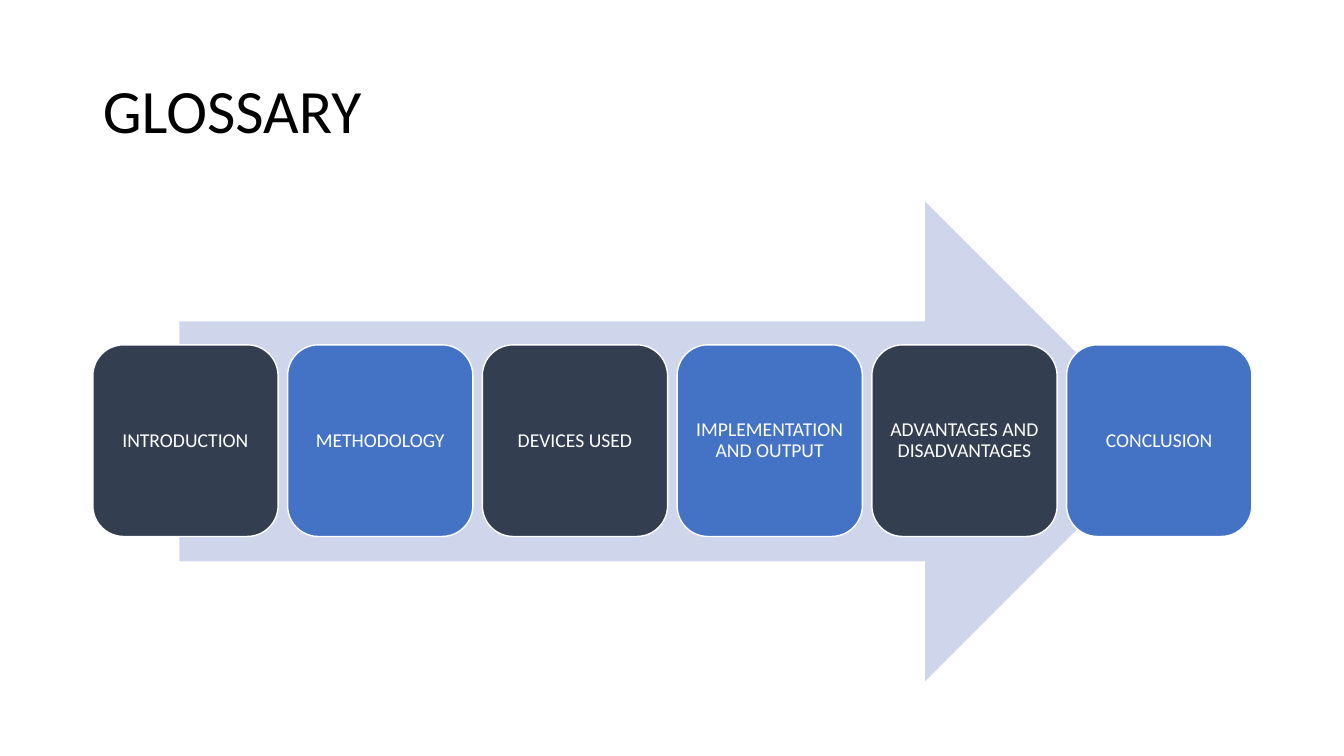
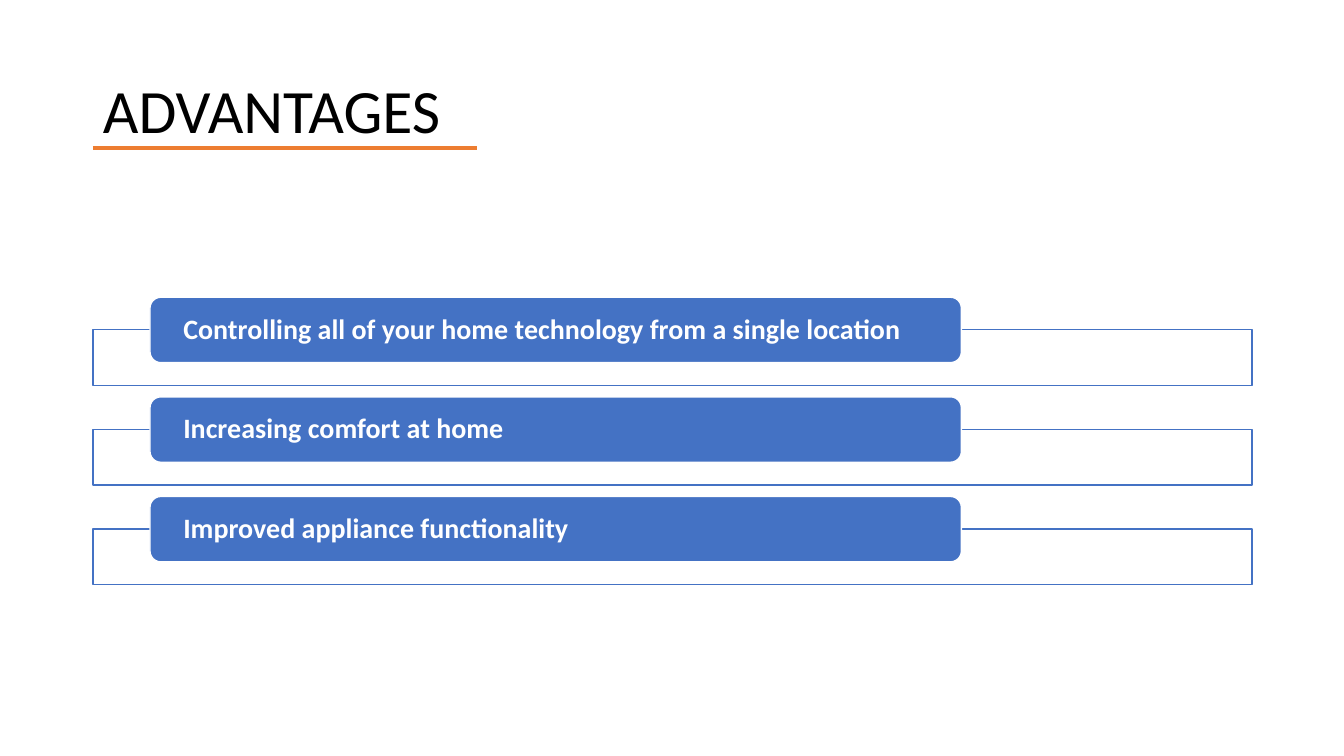
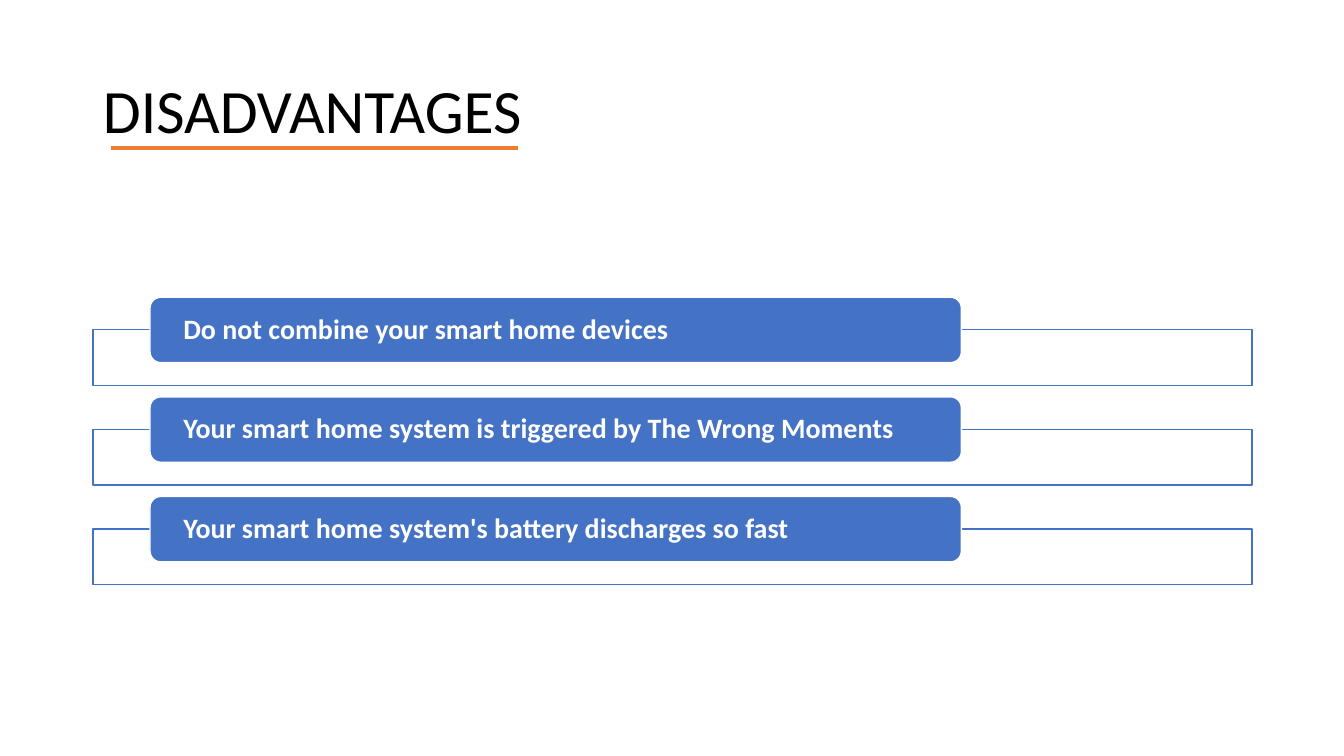
import pptx
import pptx.util
import pptx.dml.color
import pptx.enum.shapes
import pptx.enum.text
import pptx.oxml
import pptx.oxml.ns
from lxml import etree

Cm = pptx.util.Cm
Pt = pptx.util.Pt
SHAPE = pptx.enum.shapes.MSO_SHAPE
ALIGN = pptx.enum.text.PP_ALIGN
MIDDLE = pptx.enum.text.MSO_ANCHOR.MIDDLE
qn = pptx.oxml.ns.qn

# Shared look
FONT = "Calibri"
BLACK, WHITE = "000000", "FFFFFF"
BLUE, NAVY, PALE, ORANGE = "4472C4", "333F50", "CFD5EA", "ED7D31"

# Shared content area, in cm
LEFT, WIDTH = 2.34, 29.21


def color(hex_code):
    return pptx.dml.color.RGBColor.from_string(hex_code)


def write(shape, text, size, text_color, align, bold=False):
    frame = shape.text_frame
    frame.text = text
    frame.word_wrap = True
    frame.vertical_anchor = MIDDLE
    paragraph = frame.paragraphs[0]
    paragraph.alignment = align
    paragraph.line_spacing = 0.9
    font = paragraph.font
    font.name, font.size, font.bold = FONT, Pt(size), bold
    font.color.rgb = color(text_color)
    return frame


def add_block(slide, kind, left, top, width, height, fill, line=None):
    block = slide.shapes.add_shape(kind, Cm(left), Cm(top), Cm(width), Cm(height))
    block.shadow.inherit = False
    block.fill.solid()
    block.fill.fore_color.rgb = color(fill)
    if line:
        block.line.color.rgb = color(line)
        block.line.width = Pt(1)
    else:
        block.line.fill.background()
    return block


def set_insets(frame, side, upright):
    frame.margin_left = frame.margin_right = Cm(side)
    frame.margin_top = frame.margin_bottom = Cm(upright)


def add_titled_slide(prs, heading):
    slide = prs.slides.add_slide(prs.slide_layouts[5])
    title = slide.shapes.title
    title.left, title.top = Cm(LEFT), Cm(1.01)
    title.width, title.height = Cm(WIDTH), Cm(3.68)
    frame = write(title, heading, 44, BLACK, ALIGN.LEFT)
    frame.auto_size = pptx.enum.text.MSO_AUTO_SIZE.NONE
    return slide


def add_underline(slide, start, end):
    y = Cm(3.73)
    underline = slide.shapes.add_connector(
        pptx.enum.shapes.MSO_CONNECTOR.STRAIGHT, Cm(start), y, Cm(end), y)
    underline.line.color.rgb = color(ORANGE)
    underline.line.width = Pt(3)
    etree.SubElement(underline._element.spPr, qn("a:effectLst"))


def add_topic_arrow(slide, topics):
    """Row of topic cards, evenly spread over a wide arrow."""
    card_width = 4.67
    step = (WIDTH - card_width) / (len(topics) - 1)
    add_block(slide, SHAPE.RIGHT_ARROW, 4.52, 5.08, 24.84, 12.09, PALE)
    for i, topic in enumerate(topics):
        card = add_block(slide, SHAPE.ROUNDED_RECTANGLE, LEFT + i * step, 8.69,
                         card_width, 4.83, BLUE if i % 2 else NAVY, WHITE)
        frame = write(card, topic, 14, WHITE, ALIGN.CENTER)
        set_insets(frame, 0.15, 0.15)


def add_point_list(slide, points):
    """Outlined frames, each with a label bar over its top edge."""
    for i, point in enumerate(points):
        top = 7.49 + i * 2.51
        outline = add_block(slide, SHAPE.RECTANGLE, LEFT, top + 0.82,
                            WIDTH, 1.4, WHITE, BLUE)
        fill_color = outline._element.spPr.find(".//" + qn("a:srgbClr"))
        etree.SubElement(fill_color, qn("a:alpha"), val="90000")
        label = add_block(slide, SHAPE.ROUNDED_RECTANGLE, 3.78, top,
                          20.45, 1.65, BLUE, WHITE)
        frame = write(label, point, 20, WHITE, ALIGN.LEFT, bold=True)
        set_insets(frame, 0.76, 0)


def main():
    prs = pptx.Presentation()
    prs.slide_width, prs.slide_height = Cm(33.87), Cm(19.05)

    # Glossary
    glossary = add_titled_slide(prs, "GLOSSARY")
    add_topic_arrow(glossary, [
        "INTRODUCTION", "METHODOLOGY", "DEVICES USED",
        "IMPLEMENTATION AND OUTPUT", "ADVANTAGES AND DISADVANTAGES",
        "CONCLUSION"])

    # Advantages
    advantages = add_titled_slide(prs, "ADVANTAGES")
    add_point_list(advantages, [
        "Controlling all of your home technology from a single location",
        "Increasing comfort at home",
        "Improved appliance functionality"])
    add_underline(advantages, LEFT, 12.01)

    # Disadvantages
    disadvantages = add_titled_slide(prs, "DISADVANTAGES")
    add_point_list(disadvantages, [
        "Do not combine your smart home devices",
        "Your smart home system is triggered by The Wrong Moments",
        "Your smart home system's battery discharges so fast"])
    add_underline(disadvantages, 2.79, 13.06)

    prs.save("out.pptx")


if __name__ == "__main__":
    main()
